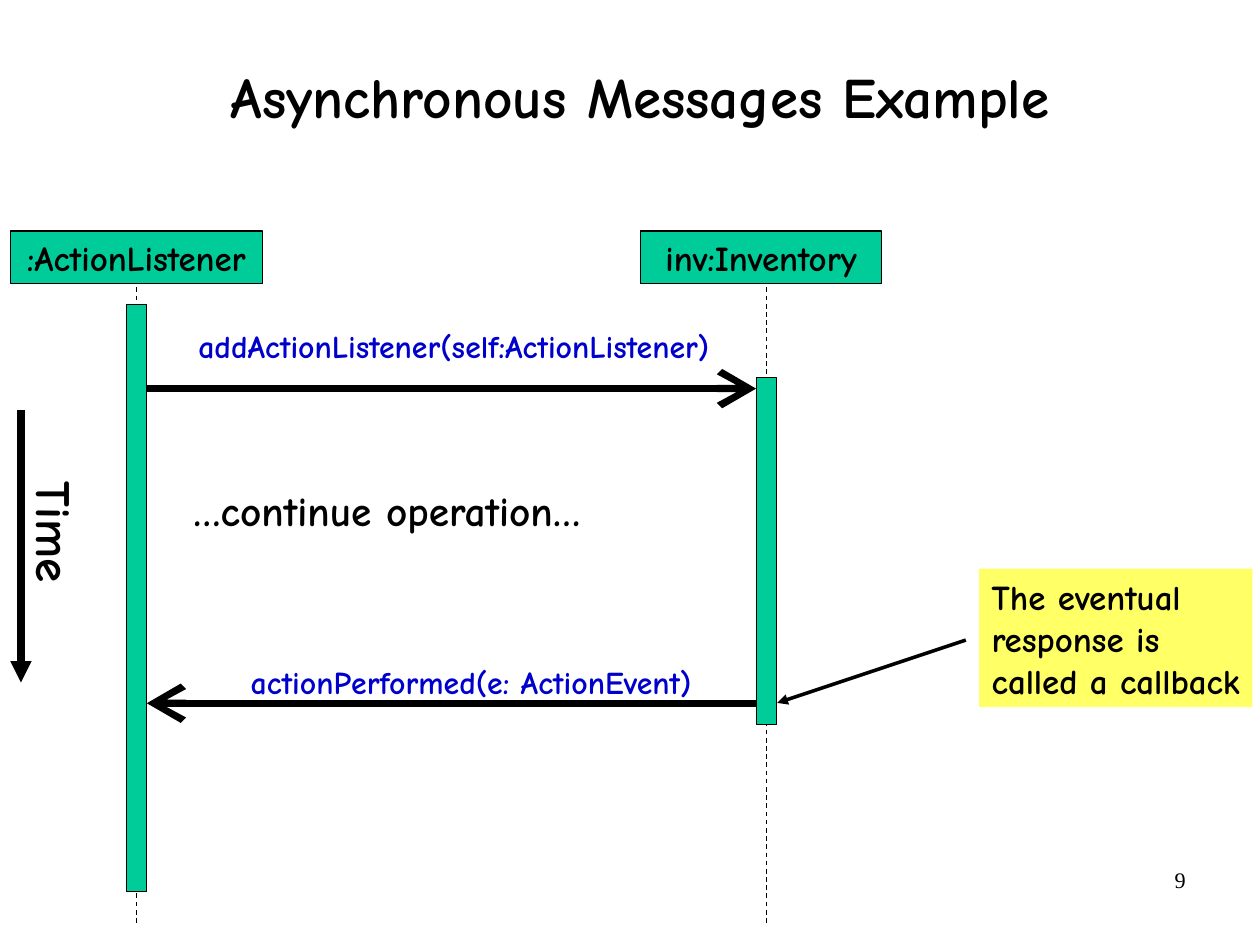
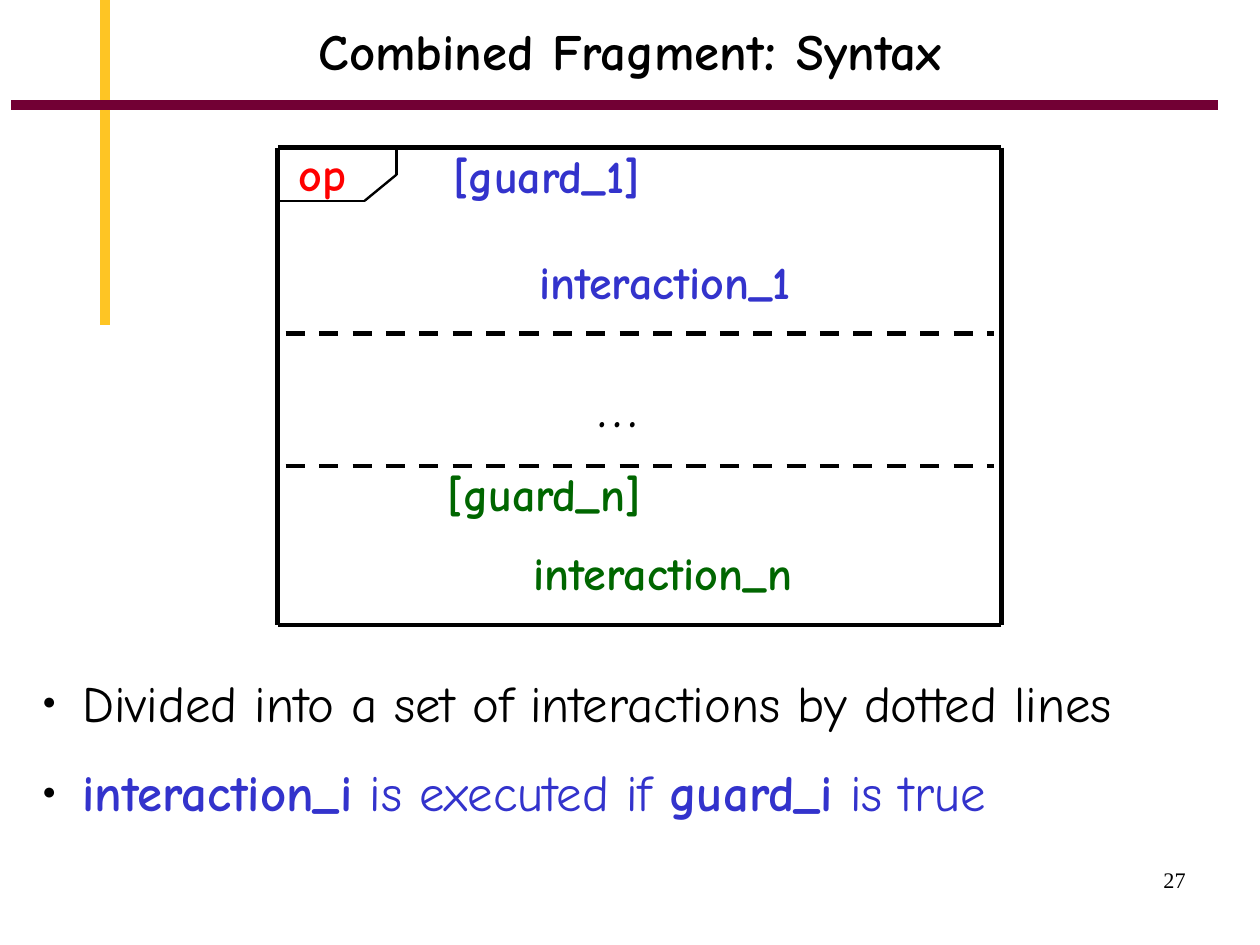
from dataclasses import dataclass, replace
from itertools import pairwise

from lxml import etree
from pptx import Presentation
from pptx.dml.color import RGBColor
from pptx.enum import dml, shapes, text
from pptx.oxml import ns
from pptx.util import Pt


@dataclass(frozen=True)
class Theme:
    hand: str = "Comic Neue"
    serif: str = "Times New Roman"
    black: str = "000000"
    green: str = "00CC99"
    yellow: str = "FFFF66"
    message: str = "0000CC"
    first: str = "3333CC"
    last: str = "006600"
    operator: str = "FF0000"
    gold: str = "FEC524"
    wine: str = "720034"
    number_size: float = 14
    message_size: float = 20
    label_size: float = 22
    pause_size: float = 26
    fragment_size: float = 29
    time_size: float = 31
    body_size: float = 32
    title_size: float = 36
    ellipsis_size: float = 38


@dataclass(frozen=True)
class Style:
    size: float
    color: str = Theme.black
    bold: bool = True
    font: str = Theme.hand


THEME = Theme()
SLIDE_SIZE = (793.7, 595.3)
LABEL_INSETS = (7.9, 4.3)
BAR_WIDTH = 13
LABEL = Style(THEME.label_size)
MESSAGE = Style(THEME.message_size, THEME.message)
BODY = Style(THEME.body_size, bold=False)
BODY_BLUE = replace(BODY, color=THEME.first)
BODY_TERM = replace(BODY_BLUE, bold=True)


def points(values):
    return [Pt(value) for value in values]


def rgb(color):
    return RGBColor.from_string(color)


def write(shape, paragraphs, align=text.PP_ALIGN.LEFT, anchor=text.MSO_ANCHOR.TOP,
          insets=LABEL_INSETS, wrap=False):
    frame = shape.text_frame
    frame.word_wrap = wrap
    frame.vertical_anchor = anchor
    frame.margin_left = frame.margin_right = Pt(insets[0])
    frame.margin_top = frame.margin_bottom = Pt(insets[1])
    for index, runs in enumerate(paragraphs):
        paragraph = frame.add_paragraph() if index else frame.paragraphs[0]
        paragraph.alignment = align
        for words, style in runs:
            run = paragraph.add_run()
            run.text = words
            run.font.size = Pt(style.size)
            run.font.name = style.font
            run.font.bold = style.bold
            run.font.color.rgb = rgb(style.color)


def add_text(slide, box, paragraphs, **layout):
    label = slide.shapes.add_textbox(*points(box))
    write(label, paragraphs, **layout)
    return label


def add_box(slide, box, fill, line=None):
    rectangle = slide.shapes.add_shape(shapes.MSO_SHAPE.RECTANGLE, *points(box))
    rectangle.shadow.inherit = False
    rectangle.fill.solid()
    rectangle.fill.fore_color.rgb = rgb(fill)
    if line:
        rectangle.line.color.rgb = rgb(line)
        rectangle.line.width = Pt(0.75)
    else:
        rectangle.line.fill.background()
    return rectangle


def add_line(slide, start, end, width, color=THEME.black, dashed=False,
             tip=None, tip_size="med"):
    line = slide.shapes.add_connector(
        shapes.MSO_CONNECTOR.STRAIGHT, *points(start + end))
    line.line.color.rgb = rgb(color)
    line.line.width = Pt(width)
    if dashed:
        line.line.dash_style = dml.MSO_LINE.DASH
    if tip:
        etree.SubElement(line.line._get_or_add_ln(), ns.qn("a:tailEnd"),
                         type=tip, w=tip_size, len=tip_size)
    etree.SubElement(line._element.spPr, ns.qn("a:effectLst"))


def add_outline(slide, corners, width):
    for start, end in pairwise(corners):
        add_line(slide, start, end, width)


def add_title(slide, box, runs):
    title = add_text(slide, box, [runs], align=text.PP_ALIGN.CENTER,
                     anchor=text.MSO_ANCHOR.MIDDLE, insets=(0, 0), wrap=True)
    title.text_frame.paragraphs[0].line_spacing = 0.88


def add_number(slide, number):
    style = Style(THEME.number_size, bold=False, font=THEME.serif)
    add_text(slide, (569, 542.2, 185, 41), [[(number, style)]],
             align=text.PP_ALIGN.RIGHT, insets=(7.2, 3.6), wrap=True)


def add_lifeline(slide, name, axis, head_left, head_width, bar_top, bar_height):
    add_line(slide, (axis, 165.6), (axis, 581.8), 0.75, dashed=True)
    add_box(slide, (axis - BAR_WIDTH / 2, bar_top, BAR_WIDTH, bar_height),
            THEME.green, THEME.black)
    head = add_box(slide, (head_left, 145.6, head_width, 33.1),
                   THEME.green, THEME.black)
    write(head, [[(name, LABEL)]], align=text.PP_ALIGN.CENTER,
          anchor=text.MSO_ANCHOR.MIDDLE)


def add_bullets(slide, box, paragraphs):
    body = add_text(slide, box, paragraphs, insets=(0, 0), wrap=True)
    for index, paragraph in enumerate(body.text_frame.paragraphs):
        properties = paragraph._p.get_or_add_pPr()
        properties.set("marL", str(Pt(33)))
        properties.set("indent", str(Pt(-25)))
        color = etree.SubElement(properties, ns.qn("a:buClr"))
        etree.SubElement(color, ns.qn("a:srgbClr"), val=THEME.black)
        etree.SubElement(properties, ns.qn("a:buSzPct"), val="45000")
        etree.SubElement(properties, ns.qn("a:buFont"), typeface=THEME.serif)
        etree.SubElement(properties, ns.qn("a:buChar"), char="●")
        paragraph.line_spacing = 1.05
        paragraph.space_after = Pt(14)
        if index:
            paragraph.space_before = Pt(2)


def build_messages(slide):
    add_number(slide, "9")
    add_title(slide, (40.3, 13.7, 725.8, 98.6),
              [("Asynchronous Messages Example", Style(THEME.title_size))])

    listener, inventory = 86, 482.8
    add_lifeline(slide, ":ActionListener", listener, 6.8, 158.4, 191.8, 370)
    add_lifeline(slide, "inv:Inventory", inventory, 403.5, 151.9, 238, 218.2)

    listener_edge = listener + BAR_WIDTH / 2
    inventory_edge = inventory - BAR_WIDTH / 2
    for start, end, level in ((listener_edge, inventory_edge, 244.8),
                              (inventory_edge, listener_edge, 443)):
        add_line(slide, (start, level), (end, level), 4.5,
                 tip="arrow", tip_size="lg")
    for box, words, style in (
        ((117, 201.6, 339.1, 31.7), "addActionListener(self:ActionListener)", MESSAGE),
        ((150, 413, 294.5, 31.7), "actionPerformed(e: ActionEvent)", MESSAGE),
        ((113.8, 301.7, 261.4, 38.9), "…continue operation…", Style(THEME.pause_size)),
    ):
        add_text(slide, box, [[(words, style)]])

    add_line(slide, (13.2, 258), (13.2, 430), 4.5, tip="triangle")
    time = add_text(slide, (-6.7, 314.9, 84, 45.4),
                    [[("Time", Style(THEME.time_size))]], wrap=True)
    time.rotation = 90

    add_line(slide, (608.4, 403.2), (489.6, 442.8), 2.25, tip="triangle")
    callback = add_box(slide, (616.8, 358.2, 172.1, 87.1), THEME.yellow)
    write(callback, [[(words, LABEL)] for words in
                     ("The eventual", "response is", "called a callback")])


def build_fragment(slide):
    add_number(slide, "27")
    heading = Style(THEME.body_size)
    add_title(slide, (59.6, 0, 674.6, 66.2),
              [("Combined Fragment", heading), (": ", Style(THEME.title_size)),
               ("Syntax", heading)])
    add_line(slide, (66.2, 0), (66.2, 205), 6, THEME.gold)
    add_line(slide, (7.2, 66.2), (767.5, 66.2), 6, THEME.wine)

    left, top, right, bottom = 175, 93, 630.7, 393.7
    add_outline(slide, ((left, top), (right, top), (right, bottom),
                        (left, bottom), (left, top)), 3)
    add_outline(slide, ((left, 126.5), (229.7, 126.5), (249.8, 110), (249.8, top)), 1.5)
    for divider in (210.2, 293.5):
        add_line(slide, (180, divider), (626.4, divider), 3, dashed=True)

    operator = Style(THEME.fragment_size, THEME.operator)
    first = Style(THEME.fragment_size, THEME.first)
    last = Style(THEME.fragment_size, THEME.last)
    ellipsis = Style(THEME.ellipsis_size, bold=False)
    for box, words, style, wrap in (
        ((180, 87.5, 85.7, 42.5), "op", operator, True),
        ((277.7, 88.3, 134.6, 42.5), "[guard_1]", first, False),
        ((331.7, 155.5, 176.4, 42.5), "interaction_1", first, False),
        ((368.6, 226.8, 63.4, 53.3), "…", ellipsis, True),
        ((274.1, 289, 139, 42.5), "[guard_n]", last, False),
        ((328.3, 338.7, 180.7, 42.5), "interaction_n", last, False),
    ):
        add_text(slide, box, [[(words, style)]], wrap=wrap)

    add_bullets(slide, (18.7, 421.2, 769, 165), [
        [("Divided into a set of interactions by dotted lines", BODY)],
        [("interaction_i", BODY_TERM), (" is executed if ", BODY_BLUE),
         ("guard_i", BODY_TERM), (" is true", BODY_BLUE)],
    ])


def main():
    deck = Presentation()
    deck.slide_width, deck.slide_height = points(SLIDE_SIZE)
    blank = deck.slide_layouts[6]
    for build in (build_messages, build_fragment):
        build(deck.slides.add_slide(blank))
    deck.save("out.pptx")


if __name__ == "__main__":
    main()
